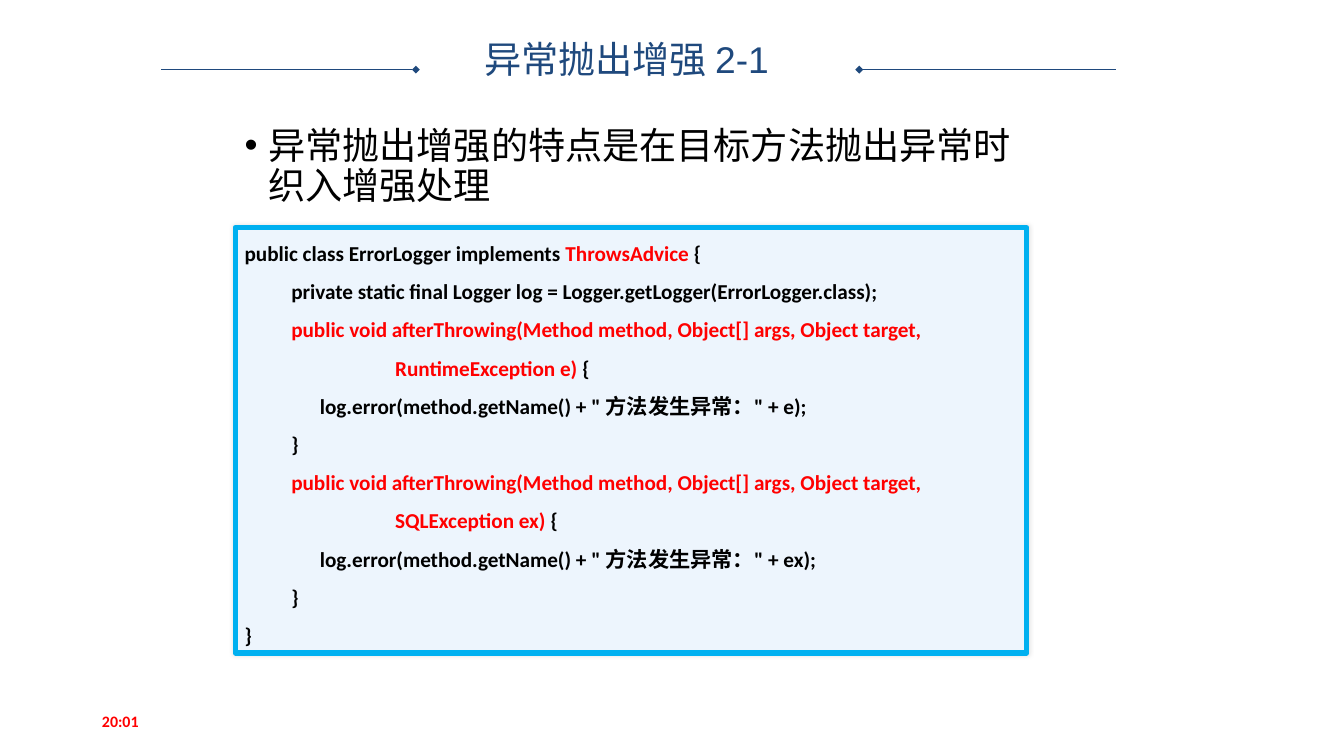
from lxml.etree import SubElement
from pptx import Presentation
from pptx.dml.color import RGBColor
from pptx.enum.shapes import MSO_CONNECTOR, MSO_SHAPE
from pptx.enum.text import MSO_ANCHOR, MSO_AUTO_SIZE, PP_ALIGN
from pptx.oxml.ns import qn
from pptx.util import Cm, Pt

COLORS = {
    "navy": "1F497D",
    "red": "FF0000",
    "black": "000000",
    "code_fill": "EDF5FD",
    "code_border": "00B0F0",
}
TAB_STOPS = (1.24, 2, 4)


def color(name):
    return RGBColor.from_string(COLORS[name])


def format_run(run, font, size, color_name, bold=False):
    run.font.name = font
    run.font.size = Pt(size)
    run.font.bold = bold
    run.font.color.rgb = color(color_name)


def place(shape, left, top, width, height):
    shape.left, shape.top = Cm(left), Cm(top)
    shape.width, shape.height = Cm(width), Cm(height)


def set_title(slide, text):
    title = slide.shapes.title
    place(title, 8.86, 1.04, 15.57, 1.19)
    frame = title.text_frame
    frame.text = text
    frame.auto_size = MSO_AUTO_SIZE.NONE
    frame.vertical_anchor = MSO_ANCHOR.MIDDLE
    heading = frame.paragraphs[0]
    heading.alignment = PP_ALIGN.CENTER
    heading.line_spacing = 0.9
    heading.space_before = Pt(10)
    format_run(heading.runs[0], "Arial", 28, "navy")


def add_title_rule(slide, inner_x, outer_x):
    """Draw a thin line whose end beside the title carries a diamond."""
    y = Cm(1.85)
    rule = slide.shapes.add_connector(
        MSO_CONNECTOR.STRAIGHT, Cm(inner_x), y, Cm(outer_x), y)
    rule.line.color.rgb = color("navy")
    rule.line.width = Pt(0.25)
    SubElement(rule.line._get_or_add_ln(), qn("a:headEnd"), type="diamond")
    SubElement(rule._element.spPr, qn("a:effectLst"))


def add_text(slide, text, box, size, color_name, bold=False):
    frame = slide.shapes.add_textbox(*map(Cm, box)).text_frame
    frame.word_wrap = True
    frame.text = text
    format_run(frame.paragraphs[0].runs[0], "Calibri", size, color_name, bold)
    return frame


def add_bullet(paragraph):
    properties = paragraph._p.get_or_add_pPr()
    properties.set("marL", str(Cm(0.63)))
    properties.set("indent", str(-Cm(0.63)))
    SubElement(properties, qn("a:buFont"), typeface="Arial")
    SubElement(properties, qn("a:buChar"), char="•")


def add_glow_shadow(shape):
    shape.shadow.inherit = False
    effects = shape._element.spPr.find(qn("a:effectLst"))
    shadow = SubElement(effects, qn("a:outerShdw"), blurRad=str(Pt(3)),
                        dist="0", dir="0", algn="ctr", rotWithShape="0")
    tint = SubElement(shadow, qn("a:srgbClr"), val=COLORS["black"])
    SubElement(tint, qn("a:alpha"), val="10000")


def add_tab_stops(paragraph):
    stops = SubElement(paragraph._p.get_or_add_pPr(), qn("a:tabLst"))
    for position in TAB_STOPS:
        SubElement(stops, qn("a:tab"), pos=str(Cm(position)), algn="l")


def handler_lines(exception, variable):
    """Return the code of one afterThrowing method as lines of (text, color)."""
    signature = ("\tpublic void afterThrowing(Method method, "
                 "Object[] args, Object target,")
    log_call = f'\t\tlog.error(method.getName() + " 方法发生异常：" + {variable});'
    return [
        [(signature, "red")],
        [(f"\t\t\t{exception} {variable}) ", "red"), ("{", "black")],
        [(log_call, "black")],
        [("\t}", "black")],
    ]


def add_code_panel(slide, lines):
    panel = slide.shapes.add_shape(
        MSO_SHAPE.ROUNDED_RECTANGLE, Cm(6.25), Cm(6.05), Cm(21.03), Cm(11.3))
    panel.adjustments[0] = 0
    panel.fill.solid()
    panel.fill.fore_color.rgb = color("code_fill")
    panel.line.color.rgb = color("code_border")
    panel.line.width = Pt(4)
    add_glow_shadow(panel)

    frame = panel.text_frame
    frame.word_wrap = True
    frame.vertical_anchor = MSO_ANCHOR.TOP
    frame.margin_top = frame.margin_bottom = 0
    for number, pieces in enumerate(lines):
        line = frame.add_paragraph() if number else frame.paragraphs[0]
        line.alignment = PP_ALIGN.LEFT
        line.line_spacing = 1.5
        add_tab_stops(line)
        for text, color_name in pieces:
            run = line.add_run()
            run.text = text
            format_run(run, "Calibri", 16, color_name, bold=True)


def main():
    deck = Presentation()
    deck.slide_width, deck.slide_height = Cm(35.71), Cm(20.09)
    slide = deck.slides.add_slide(deck.slide_layouts[5])

    set_title(slide, "异常抛出增强 2-1")
    add_title_rule(slide, 11.05, 4.27)
    add_title_rule(slide, 22.83, 29.64)

    clock = add_text(slide, "20:01", (2.46, 18.62, 8.03, 1.07), 12, "red", bold=True)
    clock.vertical_anchor = MSO_ANCHOR.MIDDLE

    feature = add_text(slide, "异常抛出增强的特点是在目标方法抛出异常时织入增强处理",
                       (6.25, 3.25, 21.23, 13.92), 28, "black").paragraphs[0]
    feature.line_spacing = 0.9
    feature.space_before = Pt(10)
    add_bullet(feature)

    add_code_panel(slide, [
        [("public class ErrorLogger implements ", "black"),
         ("ThrowsAdvice", "red"), (" {", "black")],
        [("\tprivate static final Logger log = "
          "Logger.getLogger(ErrorLogger.class);", "black")],
        *handler_lines("RuntimeException", "e"),
        *handler_lines("SQLException", "ex"),
        [("}", "black")],
    ])
    deck.save("out.pptx")


if __name__ == "__main__":
    main()
